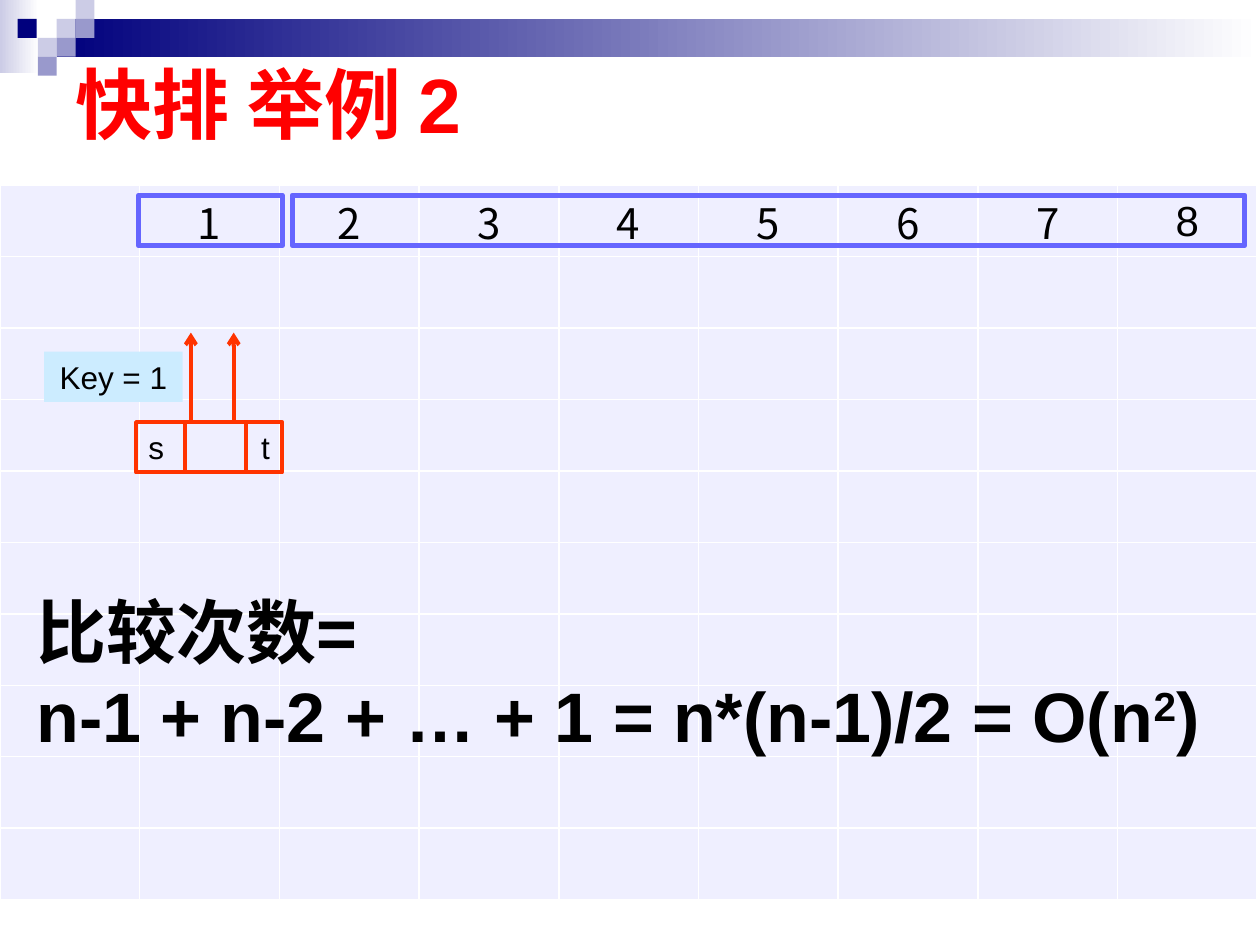
from typing import NamedTuple, Optional

from lxml import etree
from pptx import Presentation
from pptx.dml.color import RGBColor
from pptx.enum.shapes import MSO_CONNECTOR, MSO_SHAPE
from pptx.enum.text import MSO_ANCHOR, MSO_AUTO_SIZE, PP_ALIGN
from pptx.oxml.ns import qn
from pptx.util import Inches, Pt

RECT = MSO_SHAPE.RECTANGLE
STRAIGHT = MSO_CONNECTOR.STRAIGHT
MIDDLE = MSO_ANCHOR.MIDDLE
FIT_SHAPE = MSO_AUTO_SIZE.SHAPE_TO_FIT_TEXT
LEFT, CENTER, RIGHT = PP_ALIGN.LEFT, PP_ALIGN.CENTER, PP_ALIGN.RIGHT

LATIN, CJK = "Arial", "Noto Sans CJK SC"
COLORS = {
    "navy": "00007D", "lavender": "CCCCE6", "violet": "9999CC",
    "white": "FFFFFF", "black": "000000", "red": "FF0000",
    "cell": "EFEFFF", "pointer": "FF3300", "key": "CCECFF",
    "partition": "6565FF",
}
COLUMNS, ROWS = 9, 10
SQUARE = 0.15


class Box(NamedTuple):
    left: float
    top: float
    width: float
    height: float
    fill: Optional[str] = None
    fade: bool = False
    line: Optional[str] = None
    weight: float = 0
    label: str = ""
    align: PP_ALIGN = LEFT


BANNER = [
    Box(0, 0, 0.31, 0.58, "lavender", fade=True),
    Box(0.45, 0.15, 9.55, 0.3, "navy", fade=True),
] + [
    Box(left, top, SQUARE, SQUARE, fill)
    for left, top, fill in [
        (0.45, 0.15, "lavender"), (0.6, 0, "lavender"), (0.6, 0.15, "violet"),
        (0.3, 0.3, "lavender"), (0.14, 0.15, "navy"), (0.45, 0.3, "violet"),
        (0.3, 0.45, "violet"),
    ]
]
POINTERS = [
    Box(1.08, 3.35, 0.87, 0.4, line="pointer", weight=2.25, label="s"),
    Box(1.47, 3.35, 0.77, 0.4, line="pointer", weight=2.25, label="t", align=RIGHT),
]
KEY = Box(0.35, 2.79, 1.1, 0.4, "key", label="Key = 1", align=CENTER)
PARTITIONS = [
    Box(left, 1.55, width, 0.4, line="partition", weight=3)
    for left, width in [(2.32, 7.56), (1.1, 1.14)]
]


def rgb(name: str) -> RGBColor:
    return RGBColor.from_string(COLORS[name])


def format_runs(paragraph, size: float, color="black", bold=False, latin=LATIN) -> None:
    for run in paragraph.runs:
        run.font.size = Pt(size)
        run.font.bold = bold
        run.font.name = latin
        run.font.color.rgb = rgb(color)
        etree.SubElement(run.font._element, qn("a:ea"), typeface=CJK)


def draw_box(slide, box: Box):
    shape = slide.shapes.add_shape(RECT, *map(Inches, box[:4]))
    shape.shadow.inherit = False
    if box.fade:
        shape.fill.gradient()
        shape.fill.gradient_angle = 0
        for stop, color, position in zip(
            shape.fill.gradient_stops, (box.fill, "white"), (0, 1)
        ):
            stop.color.rgb = rgb(color)
            stop.position = position
    elif box.fill:
        shape.fill.solid()
        shape.fill.fore_color.rgb = rgb(box.fill)
    else:
        shape.fill.background()
    if box.line:
        shape.line.color.rgb = rgb(box.line)
        shape.line.width = Pt(box.weight)
    else:
        shape.line.fill.background()
    if box.label:
        frame = shape.text_frame
        frame.text = box.label
        frame.auto_size = FIT_SHAPE
        frame.paragraphs[0].alignment = box.align
        format_runs(frame.paragraphs[0], 18)
    return shape


def draw_arrow_up(slide, pointer, tip: float) -> None:
    x = pointer.left + pointer.width // 2
    arrow = slide.shapes.add_connector(STRAIGHT, x, pointer.top, x, Inches(tip))
    arrow.begin_connect(pointer, 0)
    arrow.line.color.rgb = rgb("pointer")
    arrow.line.width = Pt(2.25)
    etree.SubElement(arrow.line._get_or_add_ln(), qn("a:tailEnd"), type="arrow")
    etree.SubElement(arrow._element.spPr, qn("a:effectLst"))


def style_cell(cell) -> None:
    properties = cell._tc.get_or_add_tcPr()
    for side in ("a:lnL", "a:lnR", "a:lnT", "a:lnB"):
        border = etree.SubElement(properties, qn(side), w=str(Pt(1)))
        solid = etree.SubElement(border, qn("a:solidFill"))
        etree.SubElement(solid, qn("a:srgbClr"), val=COLORS["white"])
    cell.fill.solid()
    cell.fill.fore_color.rgb = rgb("cell")


def draw_array(slide) -> None:
    array = slide.shapes.add_table(
        ROWS, COLUMNS, Inches(0), Inches(1.47), Inches(9.98), Inches(5.67)
    ).table
    array.first_row = False
    array.horz_banding = False
    for cell in array.iter_cells():
        style_cell(cell)
    for number in range(1, COLUMNS):
        cell = array.cell(0, number)
        cell.text = str(number)
        cell.vertical_anchor = MIDDLE
        cell.margin_left = cell.margin_right = cell.margin_top = Inches(0.01)
        cell.margin_bottom = 0
        paragraph = cell.text_frame.paragraphs[0]
        paragraph.alignment = CENTER
        format_runs(paragraph, 24, latin=LATIN if number == COLUMNS - 1 else CJK)


def place_title(slide) -> None:
    title = slide.shapes.title
    title.left, title.top = Inches(0.5), Inches(0.29)
    title.width, title.height = Inches(9), Inches(1.05)
    title.text_frame.text = "快排 举例 2"
    title.text_frame.vertical_anchor = MIDDLE
    title.text_frame.paragraphs[0].alignment = LEFT
    format_runs(title.text_frame.paragraphs[0], 44, "red", bold=True)


def draw_comparison_count(slide) -> None:
    count = slide.shapes.add_textbox(
        Inches(0.19), Inches(4.62), Inches(9.88), Inches(1.45)
    )
    frame = count.text_frame
    frame.word_wrap = False
    frame.auto_size = FIT_SHAPE
    frame.text = "比较次数="
    formula = frame.add_paragraph()
    for part in ("n-1 + n-2 + … + 1 = n*(n-1)/2 = O(n", "2", ")"):
        formula.add_run().text = part
    for paragraph in frame.paragraphs:
        format_runs(paragraph, 40, bold=True)
    formula.runs[1].font._element.set("baseline", "30000")


def main() -> None:
    presentation = Presentation()
    presentation.slide_width, presentation.slide_height = Inches(10), Inches(7.5)
    slide = presentation.slides.add_slide(presentation.slide_layouts[5])
    for box in BANNER:
        draw_box(slide, box)
    place_title(slide)
    draw_array(slide)
    pointers = [draw_box(slide, box) for box in POINTERS]
    for pointer in pointers:
        draw_arrow_up(slide, pointer, 2.64)
    for box in [KEY, *PARTITIONS]:
        draw_box(slide, box)
    draw_comparison_count(slide)
    presentation.save("out.pptx")


if __name__ == "__main__":
    main()
